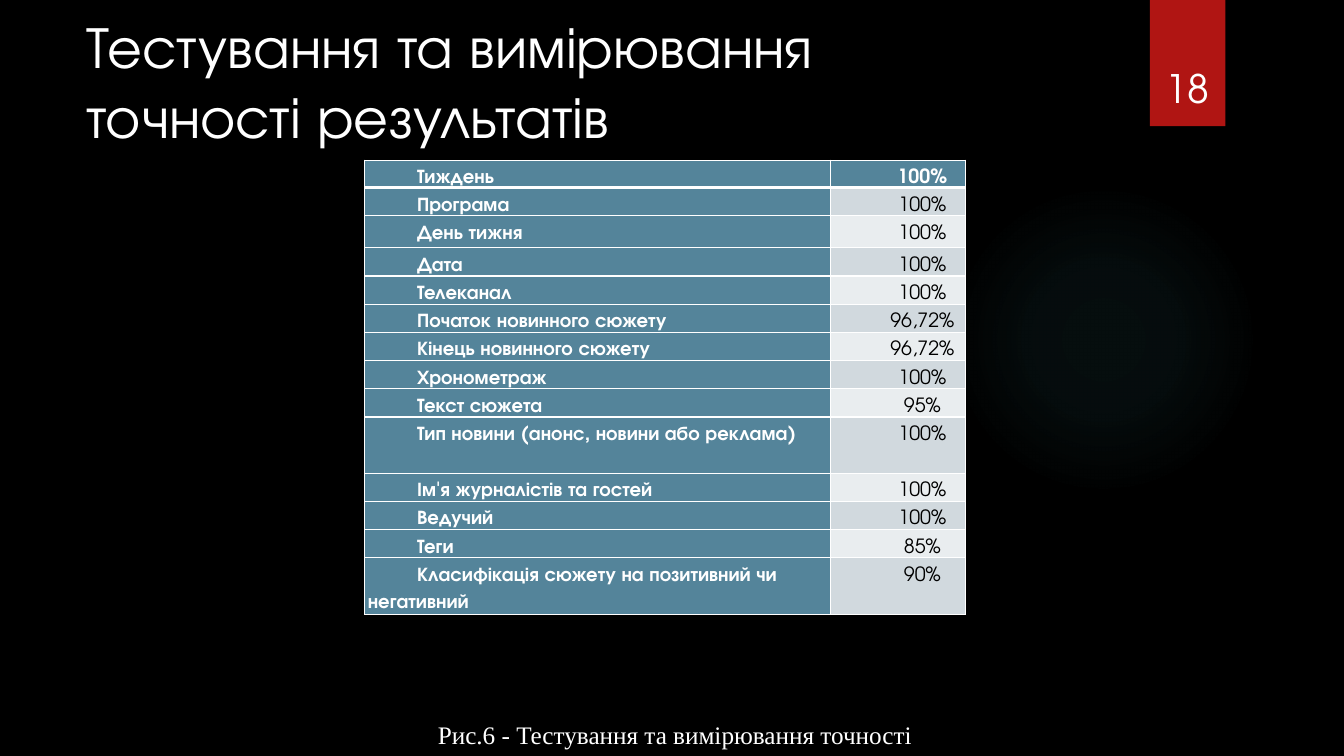
from dataclasses import dataclass

from lxml import etree
from pptx import Presentation
from pptx import util as u
from pptx.dml import color
from pptx.enum import shapes, text
from pptx.oxml import ns

FACE = "TeX Gyre Adventor"
WHITE, BLACK, RED, TEAL = "FFFFFF", "000000", "B01513", "54849A"
BANDS = ("E9EDEF", "D1D9DE")
INDENT = u.Cm(1.24)


@dataclass
class Row:
    name: str
    score: str = "100%"
    high: float = 0.71


@dataclass
class Label:
    words: str
    box: tuple[float, float, float, float]
    size: int
    face: str
    anchor: text.MSO_ANCHOR
    wrap: bool = True
    lead: float = 1.0
    indent: int = 0


ROWS = [
    Row("Тиждень", high=0.38),
    Row("Програма"),
    Row("День тижня", high=0.81),
    Row("Дата"),
    Row("Телеканал"),
    Row("Початок новинного сюжету", "96,72%"),
    Row("Кінець новинного сюжету", "96,72%"),
    Row("Хронометраж"),
    Row("Текст сюжета", "95%"),
    Row("Тип новини (анонс, новини або реклама)", high=1.42),
    Row("Ім'я журналістів та гостей"),
    Row("Ведучий"),
    Row("Теги", "85%"),
    Row("Класифікація сюжету на позитивний чи негативний", "90%", 1.42),
]
LABELS = [
    Label("18", (28.75, 0.81, 2.34, 2.13), 28, FACE, text.MSO_ANCHOR.BOTTOM),
    Label("Рис.6 - Тестування та вимірювання точності", (9.47, 17.63, 13.84, 1.42),
          18, "Times New Roman", text.MSO_ANCHOR.TOP, False, 1.5, INDENT),
]


def tint(code: str) -> color.RGBColor:
    """Turn a hex string into a colour."""
    return color.RGBColor.from_string(code)


def style(para, size: int, face: str, ink: str, bold: bool = False,
          align=text.PP_ALIGN.LEFT, lead: float = 1.0, indent: int = 0) -> None:
    """Format one paragraph."""
    para.alignment = align
    para.line_spacing = lead
    if indent:
        props = para._p.get_or_add_pPr()
        props.set("marL", "0")
        props.set("indent", str(int(indent)))
    font = para.font
    font.size, font.name, font.bold = u.Pt(size), face, bold
    font.color.rgb = tint(ink)


def block(slide, kind, box: tuple[float, float, float, float], fill: str):
    """Draw a plain filled shape."""
    shape = slide.shapes.add_shape(kind, *map(u.Cm, box))
    shape.shadow.inherit = False
    shape.fill.solid()
    shape.fill.fore_color.rgb = tint(fill)
    shape.line.fill.background()
    return shape


def glow(slide) -> None:
    """Draw the faint round light."""
    shape = block(slide, shapes.MSO_SHAPE.OVAL, (23.9, 4.65, 7.82, 7.82), "50B9C1")
    stops = "".join(
        f'<a:gs pos="{pos}000"><a:srgbClr val="50B9C1"><a:alpha val="{alpha}000"/>'
        f'</a:srgbClr></a:gs>' for pos, alpha in ((0, 7), (36, 6), (69, 0)))
    grad = etree.fromstring(
        f'<a:gradFill {ns.nsdecls("a")}><a:gsLst>{stops}</a:gsLst><a:path path="circle">'
        '<a:fillToRect l="50000" t="50000" r="50000" b="50000"/></a:path></a:gradFill>')
    props = shape._element.spPr
    props.replace(props.find(ns.qn("a:solidFill")), grad)


def head(slide) -> None:
    """Place the title."""
    title = slide.shapes.title
    title.left, title.top, title.width, title.height = map(u.Cm, (1.93, 0, 27.94, 4.04))
    frame = title.text_frame
    frame.text = "Тестування та вимірювання\vточності результатів"
    frame.auto_size = text.MSO_AUTO_SIZE.NONE
    frame.vertical_anchor = text.MSO_ANCHOR.MIDDLE
    style(frame.paragraphs[0], 42, FACE, WHITE)


def write(slide, label: Label) -> None:
    """Add a centred text box."""
    frame = slide.shapes.add_textbox(*map(u.Cm, label.box)).text_frame
    frame.word_wrap = label.wrap
    frame.vertical_anchor = label.anchor
    frame.text = label.words
    style(frame.paragraphs[0], label.size, label.face, WHITE,
          align=text.PP_ALIGN.CENTER, lead=label.lead, indent=label.indent)


def edge(cell, row: int) -> None:
    """Rule a cell in white, thicker under the header."""
    props = cell._tc.get_or_add_tcPr()
    thick = {0: "lnB", 1: "lnT"}.get(row)
    for spot, side in enumerate(("lnL", "lnR", "lnT", "lnB")):
        width = u.Pt(3 if side == thick else 1)
        props.insert(spot, etree.fromstring(
            f'<a:{side} {ns.nsdecls("a")} w="{int(width)}"><a:solidFill>'
            f'<a:srgbClr val="{WHITE}"/></a:solidFill></a:{side}>'))


def grid(slide) -> None:
    """Build the accuracy table."""
    size = map(u.Cm, (9.19, 4.04, 15.14, 13.74))
    table = slide.shapes.add_table(len(ROWS), 2, *size).table
    for col, width in zip(table.columns, (11.73, 3.41)):
        col.width = u.Cm(width)
    for num, row in enumerate(ROWS):
        table.rows[num].height = u.Cm(row.high)
        for col, words in enumerate((row.name, row.score)):
            cell = table.cell(num, col)
            strong = num == 0 or col == 0
            cell.margin_left = cell.margin_right = u.Cm(0.08)
            cell.margin_top = cell.margin_bottom = 0
            cell.fill.solid()
            cell.fill.fore_color.rgb = tint(TEAL if strong else BANDS[num % 2])
            edge(cell, num)
            cell.text = words
            style(cell.text_frame.paragraphs[0], 14, FACE, WHITE if strong else BLACK,
                  strong, text.PP_ALIGN.CENTER if col else text.PP_ALIGN.LEFT, 1.5, INDENT)


def main() -> None:
    """Build and save the slide."""
    deck = Presentation()
    deck.slide_width, deck.slide_height = u.Cm(33.87), u.Cm(19.05)
    slide = deck.slides.add_slide(deck.slide_layouts[5])
    slide.background.fill.solid()
    slide.background.fill.fore_color.rgb = tint(BLACK)
    glow(slide)
    block(slide, shapes.MSO_SHAPE.RECTANGLE, (28.98, 0, 1.9, 3.18), RED)
    head(slide)
    grid(slide)
    for label in LABELS:
        write(slide, label)
    deck.save("out.pptx")


if __name__ == "__main__":
    main()
